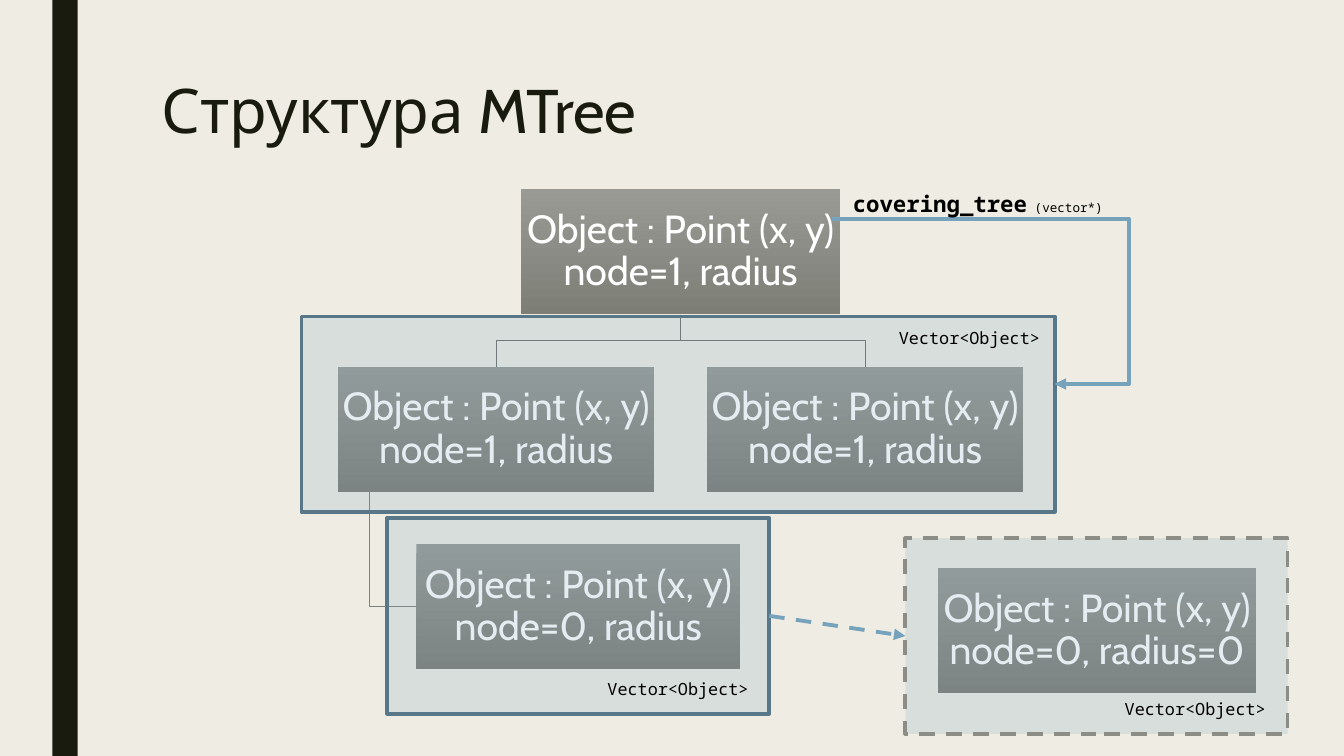
from dataclasses import dataclass

from lxml import etree
from pptx import Presentation
from pptx.dml.color import RGBColor
from pptx.enum.dml import MSO_LINE
from pptx.enum.shapes import MSO_CONNECTOR, MSO_SHAPE
from pptx.enum.text import MSO_ANCHOR, PP_ALIGN
from pptx.oxml.ns import qn
from pptx.util import Inches, Pt

RECTANGLE = MSO_SHAPE.RECTANGLE
STRAIGHT = MSO_CONNECTOR.STRAIGHT
ELBOW = MSO_CONNECTOR.ELBOW
DASH = MSO_LINE.DASH
TOP = MSO_ANCHOR.TOP
MIDDLE = MSO_ANCHOR.MIDDLE
LEFT = PP_ALIGN.LEFT
CENTER = PP_ALIGN.CENTER

CREAM = RGBColor(0xEF, 0xED, 0xE3)
INK = RGBColor(0x19, 0x1B, 0x0E)
BLACK = RGBColor(0, 0, 0)
WHITE = RGBColor(0xFF, 0xFF, 0xFF)
SKY = RGBColor(0x77, 0xA2, 0xBB)
STEEL = RGBColor(0x58, 0x78, 0x8A)
GRAY = RGBColor(0x8C, 0x8D, 0x86)
LIGHT_GRAY = RGBColor(0x99, 0x9A, 0x94)
DARK_GRAY = RGBColor(0x7D, 0x7E, 0x76)
BRANCH_GRAY = RGBColor(0x70, 0x71, 0x6B)
SIDE_GRAY = RGBColor(0x7F, 0x80, 0x7A)

SANS = "Cabin"
MONO = "Noto Sans Mono"
NODE_HEIGHT = 1.24
FRAME_HEIGHT = 1.94
FRAME_OPACITY = 19
STROKE = Pt(2.75)


@dataclass(frozen=True)
class Node:
    left: float
    top: float
    width: float
    state: str


@dataclass(frozen=True)
class Frame:
    left: float
    top: float
    width: float
    color: RGBColor = STEEL
    dashed: bool = False


@dataclass(frozen=True)
class Branch:
    points: tuple[tuple[float, float], ...]
    color: RGBColor = BRANCH_GRAY


@dataclass(frozen=True)
class Label:
    left: float
    top: float
    width: float
    height: float
    text: str
    size: float
    font: str = MONO
    color: RGBColor = BLACK
    align: PP_ALIGN = CENTER
    wrap: bool = True


@dataclass(frozen=True)
class Arrow:
    start: tuple[float, float]
    end: tuple[float, float]
    kind: MSO_CONNECTOR = STRAIGHT
    bend: int = 0
    dashed: bool = False


ROOT = Node(5.17, 1.88, 3.16, "node=1, radius")
LEFT_CHILD = Node(3.35, 3.64, 3.14, "node=1, radius")
RIGHT_CHILD = Node(7.01, 3.64, 3.14, "node=1, radius")
LEAF = Node(4.13, 5.4, 3.21, "node=0, radius")
DETACHED = Node(9.3, 5.64, 3.16, "node=0, radius=0")

DETACHED_FRAME = Frame(8.98, 5.34, 3.79, GRAY, True)
TREE_FRAMES = (Frame(3.84, 5.14, 3.79), Frame(2.99, 3.14, 7.47))

ARROWS = (
    Arrow((8.25, 2.17), (10.46, 3.81), ELBOW, 133300),
    Arrow((7.63, 6.11), (8.98, 6.31), dashed=True),
)

TITLE = Label(1.5, 0.75, 10.5, 1.62, "Структура MTree", 44, SANS, INK, LEFT)
POINTER_LABEL = Label(8.36, 1.84, 2.71, 0.37, "covering_tree", 16, align=LEFT, wrap=False)
VECTOR_LABELS = tuple(
    Label(left, top, width, 0.3, "Vector<Object>", 12)
    for left, top, width in ((8.77, 3.2, 1.69), (5.54, 6.68, 2.37), (10.67, 6.88, 2.37))
)


def child_branch(child: Node) -> Branch:
    root_x = ROOT.left + ROOT.width / 2
    child_x = child.left + child.width / 2
    root_bottom = ROOT.top + NODE_HEIGHT
    middle = (root_bottom + child.top) / 2
    return Branch(((root_x, root_bottom), (root_x, middle), (child_x, middle), (child_x, child.top)))


def leaf_branch() -> Branch:
    stem_x = LEFT_CHILD.left + LEFT_CHILD.width / 10
    leaf_y = LEAF.top + NODE_HEIGHT / 2
    return Branch(
        ((stem_x, LEFT_CHILD.top + NODE_HEIGHT), (stem_x, leaf_y), (LEAF.left, leaf_y)), SIDE_GRAY
    )


def add_rectangle(page, left: float, top: float, width: float, height: float):
    box = page.shapes.add_shape(RECTANGLE, Inches(left), Inches(top), Inches(width), Inches(height))
    box.shadow.inherit = False
    box.line.fill.background()
    return box


def style_text(para, font: str, size: float, color: RGBColor, align: PP_ALIGN) -> None:
    para.alignment = align
    para.font.name = font
    para.font.size = Pt(size)
    para.font.color.rgb = color


def draw_node(page, node: Node) -> None:
    box = add_rectangle(page, node.left, node.top, node.width, NODE_HEIGHT)
    box.fill.gradient()
    box.fill.gradient_angle = 270
    for stop, color in zip(box.fill.gradient_stops, (LIGHT_GRAY, DARK_GRAY)):
        stop.color.rgb = color
    frame = box.text_frame
    frame.word_wrap = True
    frame.vertical_anchor = MIDDLE
    frame.margin_left = frame.margin_right = Inches(0.02)
    frame.margin_top = frame.margin_bottom = Inches(0.02)
    para = frame.paragraphs[0]
    para.text = f"Object : Point (x, y)\n{node.state}"
    para.line_spacing = 0.9
    style_text(para, SANS, 28, WHITE, CENTER)


def draw_frame(page, frame: Frame) -> None:
    box = add_rectangle(page, frame.left, frame.top, frame.width, FRAME_HEIGHT)
    box.fill.solid()
    box.fill.fore_color.rgb = SKY
    tint = box.element.spPr.find(qn("a:solidFill")).find(qn("a:srgbClr"))
    etree.SubElement(tint, qn("a:alpha"), val=str(FRAME_OPACITY * 1000))
    box.line.color.rgb = frame.color
    box.line.width = STROKE
    if frame.dashed:
        box.line.dash_style = DASH


def draw_branch(page, branch: Branch) -> None:
    corners = [(Inches(x), Inches(y)) for x, y in branch.points]
    builder = page.shapes.build_freeform(*corners[0])
    builder.add_line_segments(corners[1:], close=False)
    line = builder.convert_to_shape()
    line.shadow.inherit = False
    line.fill.background()
    line.line.color.rgb = branch.color
    line.line.width = Pt(0.5)


def draw_label(page, label: Label):
    box = page.shapes.add_textbox(
        Inches(label.left), Inches(label.top), Inches(label.width), Inches(label.height)
    )
    box.text_frame.word_wrap = label.wrap
    box.text_frame.vertical_anchor = TOP
    para = box.text_frame.paragraphs[0]
    para.text = label.text
    style_text(para, label.font, label.size, label.color, label.align)
    return para


def draw_arrow(page, arrow: Arrow) -> None:
    ends = (Inches(value) for value in (*arrow.start, *arrow.end))
    connector = page.shapes.add_connector(arrow.kind, *ends)
    connector.line.color.rgb = SKY
    connector.line.width = STROKE
    if arrow.dashed:
        connector.line.dash_style = DASH
    properties = connector.element.spPr
    etree.SubElement(properties.find(qn("a:ln")), qn("a:tailEnd"), type="triangle")
    etree.SubElement(properties, qn("a:effectLst"))
    if arrow.bend:
        guides = properties.find(qn("a:prstGeom")).find(qn("a:avLst"))
        etree.SubElement(guides, qn("a:gd"), name="adj1", fmla=f"val {arrow.bend}")


def main() -> None:
    deck = Presentation()
    deck.slide_width, deck.slide_height = Inches(13.33), Inches(7.5)
    page = deck.slides.add_slide(deck.slide_layouts[6])
    page.background.fill.solid()
    page.background.fill.fore_color.rgb = CREAM
    stripe = add_rectangle(page, 0.52, 0, 0.25, 7.5)
    stripe.fill.solid()
    stripe.fill.fore_color.rgb = INK

    draw_node(page, DETACHED)
    draw_frame(page, DETACHED_FRAME)
    for branch in (child_branch(RIGHT_CHILD), leaf_branch(), child_branch(LEFT_CHILD)):
        draw_branch(page, branch)
    for node in (ROOT, LEFT_CHILD, LEAF, RIGHT_CHILD):
        draw_node(page, node)
    for frame in TREE_FRAMES:
        draw_frame(page, frame)
    for arrow in ARROWS:
        draw_arrow(page, arrow)

    draw_label(page, TITLE).line_spacing = 0.89
    for label in VECTOR_LABELS:
        draw_label(page, label)
    pointer = draw_label(page, POINTER_LABEL)
    pointer.runs[0].font.bold = True
    span = pointer.add_run()
    span.text = " (vector*)"
    span.font.size = Pt(9)
    deck.save("out.pptx")


if __name__ == "__main__":
    main()
